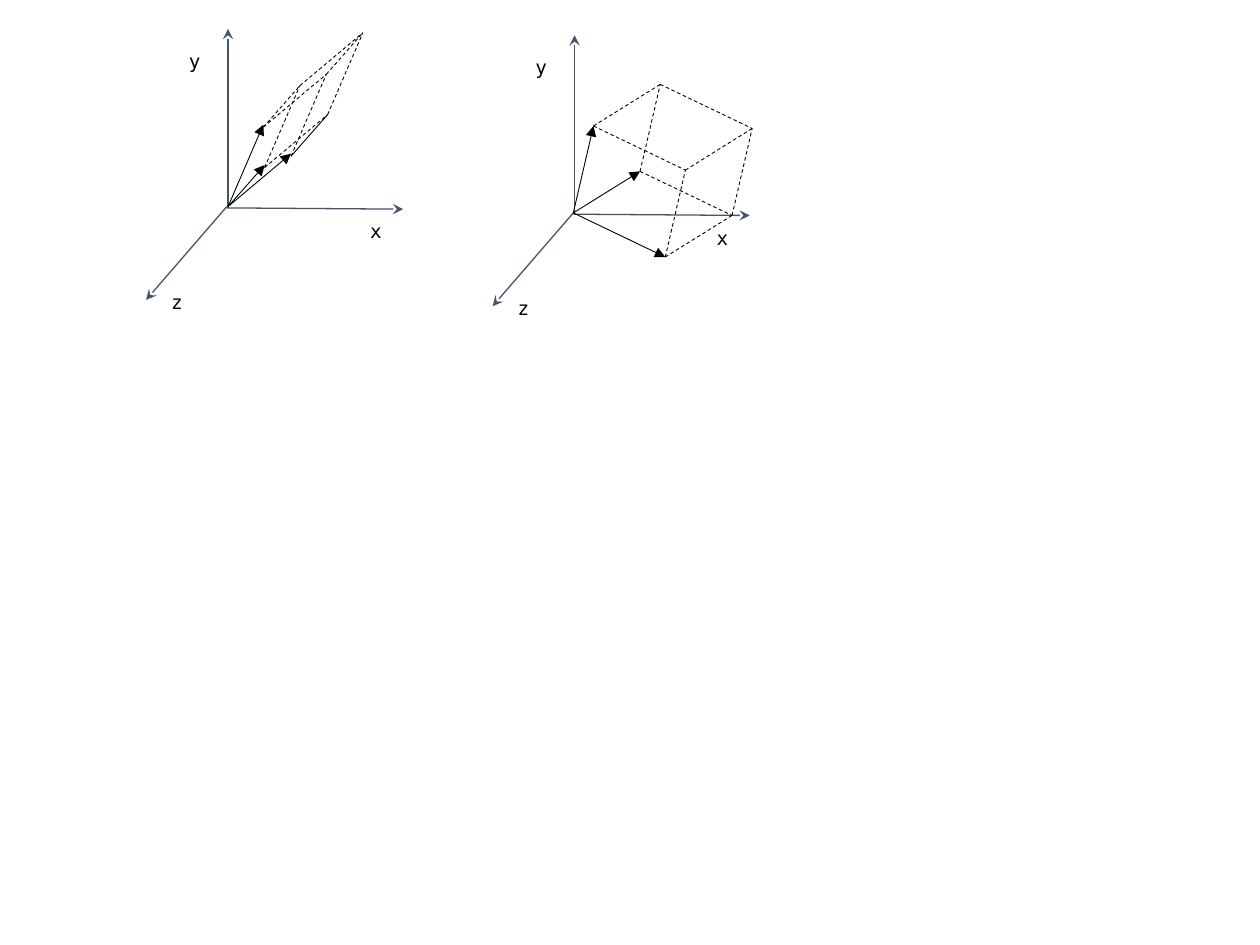
from itertools import permutations

from lxml.etree import SubElement
from pptx import Presentation
from pptx.dml.color import RGBColor
from pptx.enum.dml import MSO_LINE_DASH_STYLE as DASH
from pptx.enum.shapes import MSO_CONNECTOR as CONN
from pptx.oxml.ns import qn
from pptx.util import Emu, Pt

SCALE = 9144
AXIS = RGBColor(0x44, 0x54, 0x6A)
BLACK = RGBColor(0, 0, 0)
FONT = "DejaVu Sans Mono"


def px(n):
    return Emu(n * SCALE)


def add(p, v):
    return p[0] + v[0], p[1] + v[1]


def write(tf, text, font=FONT, size=11, color=BLACK):
    r = tf.paragraphs[0].add_run()
    r.text = text
    r.font.name = font
    r.font.size = Pt(size)
    r.font.color.rgb = color


class Canvas:
    inset = 10

    def __init__(self, slide):
        self.s = slide

    def line(self, start, end, color=BLACK, width=0.5, dashed=False, arrow=None):
        ends = [px(n) for n in (*start, *end)]
        sp = self.s.shapes.add_connector(CONN.STRAIGHT, *ends)
        sp.line.color.rgb = color
        sp.line.width = Pt(width)
        if dashed:
            sp.line.dash_style = DASH.DASH
        if arrow:
            SubElement(sp.line._get_or_add_ln(), qn("a:tailEnd"), type=arrow)
        SubElement(sp._element.spPr, qn("a:effectLst"))

    def label(self, text, at, width=46, height=35):
        sp = self.s.shapes.add_textbox(*map(px, (*at, width, height)))
        tf = sp.text_frame
        tf.word_wrap = True
        tf.margin_left = tf.margin_right = px(self.inset)
        tf.margin_top = tf.margin_bottom = px(self.inset)
        write(tf, text)

    def axes(self, shift):
        for start, end in (
            ((180, 165), (320, 166)),
            ((181, 165), (181, 23)),
            ((180, 164), (116, 238)),
        ):
            self.line(add(start, shift), add(end, shift), AXIS, 0.75, arrow="stealth")
        self.label("x", add((284, 165), shift))
        self.label("y", add((140, 30), shift), width=41)
        self.label("z", add((126, 221), shift))

    def parallelepiped(self, origin, vectors, drop=0, solid=()):
        for v in vectors:
            self.line(origin, add(origin, v), arrow="triangle")
        base = add(origin, (0, drop))
        for i, j in permutations(range(3), 2):
            corner = add(base, vectors[i])
            self.line(corner, add(corner, vectors[j]), dashed=(i, j) not in solid)
        far = base
        for v in vectors:
            far = add(far, v)
        for dx, dy in vectors:
            self.line(add(far, (-dx, -dy)), far, dashed=True)


def main():
    prs = Presentation()
    prs.slide_width, prs.slide_height = px(1000), px(750)
    c = Canvas(prs.slides.add_slide(prs.slide_layouts[6]))
    c.axes((0, 0))
    c.parallelepiped((181, 164), [(28, -65), (29, -33), (50, -42)], drop=2, solid=[(2, 1)])
    c.axes((275, 5))
    c.parallelepiped((455, 169), [(16, -69), (53, -33), (73, 35)])
    prs.save("out.pptx")


if __name__ == "__main__":
    main()
